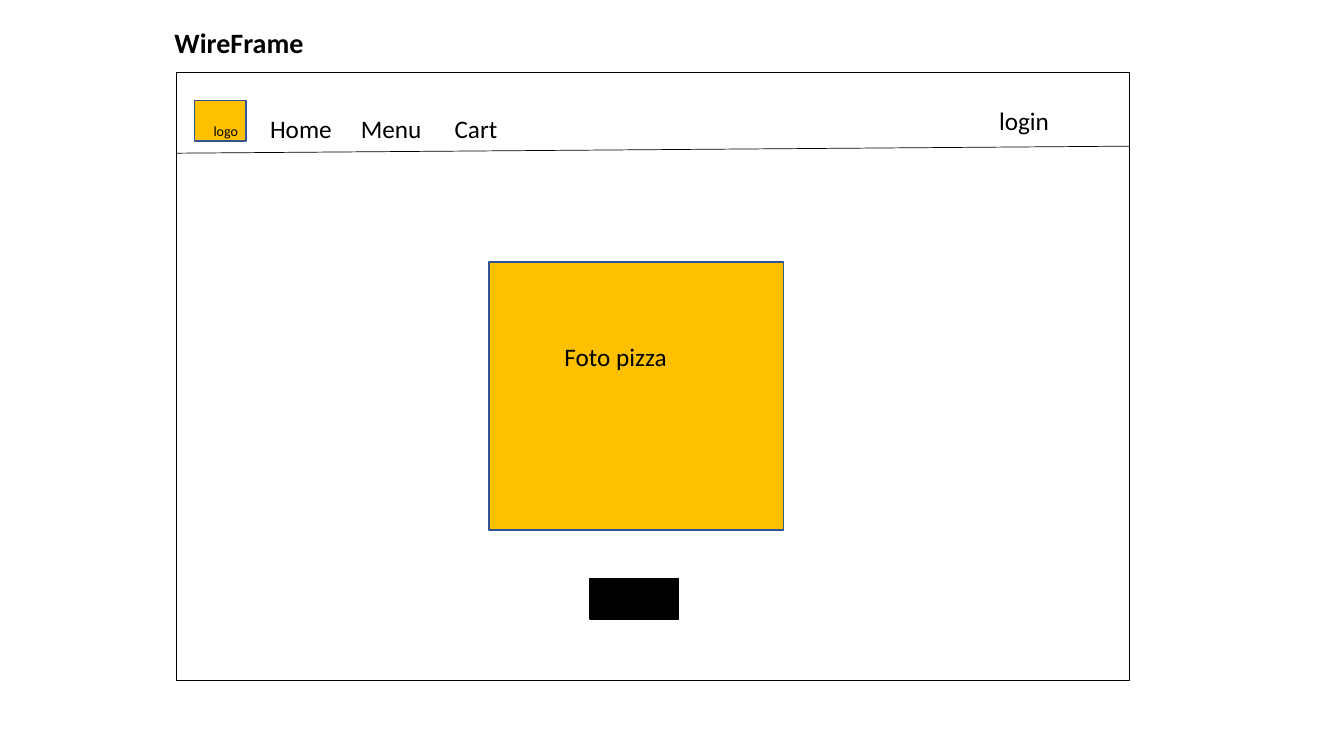
from dataclasses import dataclass
from lxml import etree
from pptx import Presentation
from pptx.dml.color import RGBColor
from pptx.enum.shapes import MSO_CONNECTOR, MSO_SHAPE
from pptx.enum.text import MSO_ANCHOR, MSO_AUTO_SIZE, PP_ALIGN
from pptx.oxml.ns import qn
from pptx.shapes.autoshape import Shape
from pptx.slide import Slide
from pptx.util import Inches, Pt

RECT = MSO_SHAPE.RECTANGLE
STRAIGHT = MSO_CONNECTOR.STRAIGHT
TOP = MSO_ANCHOR.TOP
FIXED = MSO_AUTO_SIZE.NONE
LEFT = PP_ALIGN.LEFT


@dataclass(frozen=True)
class Theme:
    font: str = "Calibri"
    black: str = "000000"
    white: str = "FFFFFF"
    gold: str = "FFC000"
    blue: str = "325491"
    head: int = 20
    body: int = 18
    small: int = 10
    edge: float = 1
    rule: float = 0.5


@dataclass(frozen=True)
class Box:
    left: float
    top: float
    width: float
    height: float
    fill: str
    line: str


@dataclass(frozen=True)
class Label:
    text: str
    left: float
    top: float
    width: float
    height: float
    size: int
    bold: bool = False
    tabs: tuple[float, ...] = ()


THEME = Theme()
FRAME = Box(1.75, 0.72, 9.45, 6.03, THEME.white, THEME.black)
PHOTO = Box(4.85, 2.6, 2.92, 2.66, THEME.gold, THEME.blue)
BUTTON = Box(5.85, 5.74, 0.88, 0.4, THEME.black, THEME.black)
LOGO = Box(1.93, 1, 0.51, 0.4, THEME.gold, THEME.blue)
TITLE = Label("WireFrame", 1.63, 0.2, 2.85, 0.44, THEME.head, True)
LABELS = (
    Label("Home\tMenu\tCart", 2.58, 1.08, 6.81, 0.4, THEME.body, tabs=(0.9, 1.83)),
    Label("login", 9.81, 1, 1.18, 0.4, THEME.body),
    Label("Foto pizza", 5.5, 3.34, 1.48, 0.4, THEME.body),
    Label("logo", 2.02, 1.17, 0.5, 0.27, THEME.small),
)


def color(code: str) -> RGBColor:
    return RGBColor.from_string(code)


def draw_box(slide: Slide, box: Box) -> None:
    shape = slide.shapes.add_shape(
        RECT, Inches(box.left), Inches(box.top), Inches(box.width), Inches(box.height)
    )
    shape.shadow.inherit = False
    shape.fill.solid()
    shape.fill.fore_color.rgb = color(box.fill)
    shape.line.color.rgb = color(box.line)
    shape.line.width = Pt(THEME.edge)


def draw_rule(slide: Slide) -> None:
    right = FRAME.left + FRAME.width
    line = slide.shapes.add_connector(
        STRAIGHT, Inches(FRAME.left), Inches(1.52), Inches(right), Inches(1.45)
    )
    line.line.color.rgb = color(THEME.black)
    line.line.width = Pt(THEME.rule)
    etree.SubElement(line._element.spPr, qn("a:effectLst"))


def write(shape: Shape, label: Label) -> None:
    shape.left, shape.top = Inches(label.left), Inches(label.top)
    shape.width, shape.height = Inches(label.width), Inches(label.height)
    frame = shape.text_frame
    frame.word_wrap = True
    frame.auto_size = FIXED
    frame.vertical_anchor = TOP
    para = frame.paragraphs[0]
    para.alignment = LEFT
    if label.tabs:
        stops = etree.SubElement(para._p.get_or_add_pPr(), qn("a:tabLst"))
        for stop in label.tabs:
            etree.SubElement(stops, qn("a:tab"), pos=str(Inches(stop)), algn="l")
    run = para.add_run()
    run.text = label.text
    run.font.name = THEME.font
    run.font.size = Pt(label.size)
    run.font.bold = label.bold
    run.font.color.rgb = color(THEME.black)


def main() -> None:
    deck = Presentation()
    deck.slide_width, deck.slide_height = Inches(13.33), Inches(7.5)
    slide = deck.slides.add_slide(deck.slide_layouts.get_by_name("Title Only"))
    slide.background.fill.solid()
    slide.background.fill.fore_color.rgb = color(THEME.white)
    write(slide.shapes.title, TITLE)
    draw_box(slide, FRAME)
    draw_rule(slide)
    for box in (PHOTO, BUTTON, LOGO):
        draw_box(slide, box)
    for label in LABELS:
        area = slide.shapes.add_textbox(0, 0, 0, 0)
        write(area, label)
    deck.save("out.pptx")


if __name__ == "__main__":
    main()
